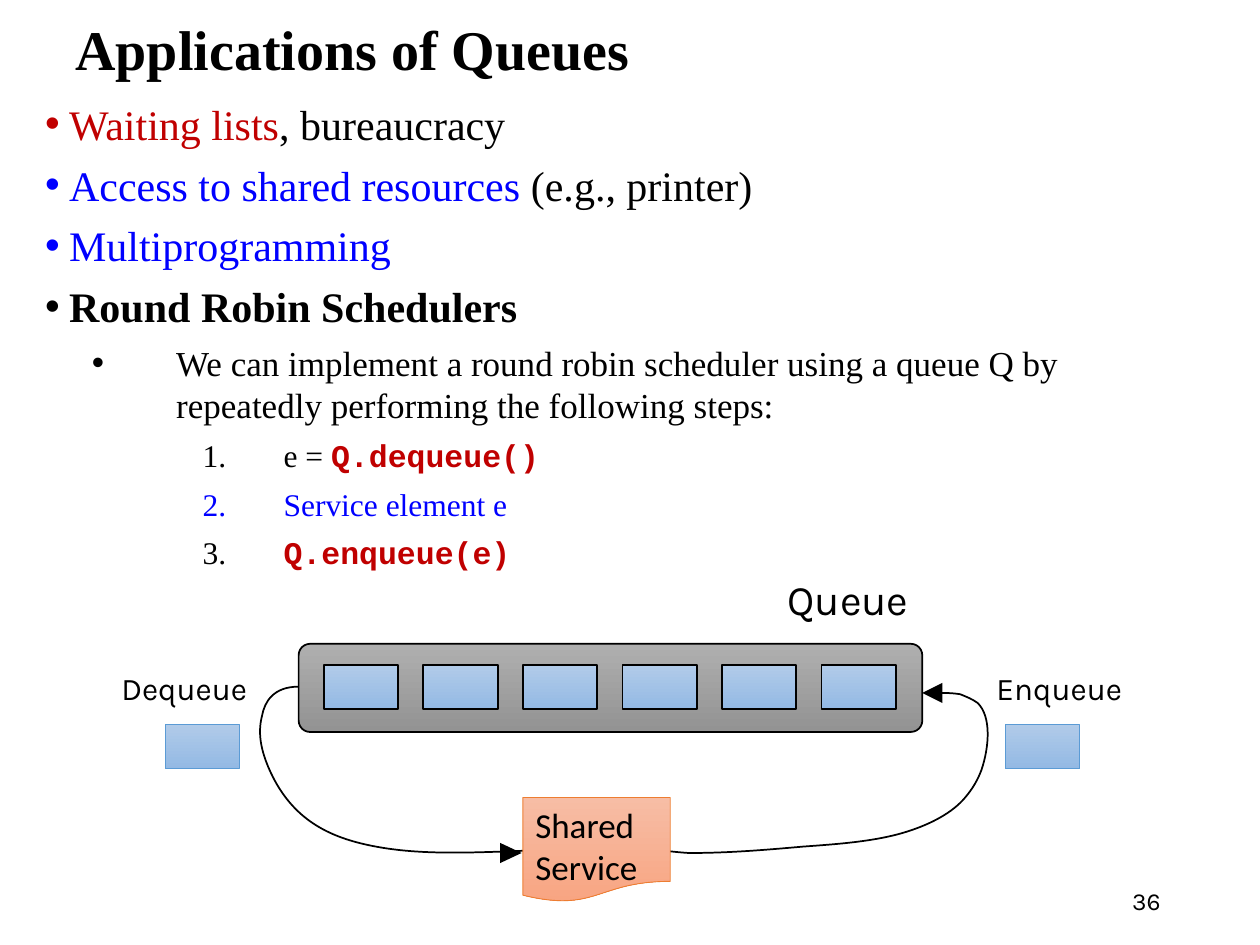
"""Build the slide on applications of queues, with a round robin diagram."""
from lxml.etree import SubElement
from pptx import Presentation
from pptx.dml.color import RGBColor
from pptx.enum.shapes import MSO_SHAPE as Shape
from pptx.enum.text import MSO_ANCHOR as Anchor, PP_ALIGN as Align
from pptx.oxml.ns import qn
from pptx.util import Inches, Pt

BLACK = RGBColor(0, 0, 0)
RED = RGBColor(0xC0, 0, 0)
BLUE = RGBColor(0, 0, 0xFF)
CELL_FILL = RGBColor(0xB1, 0xCB, 0xE9), RGBColor(0x93, 0xB9, 0xE4)
CELL_EDGE = RGBColor(0x5B, 0x9B, 0xD5)
QUEUE_FILL = RGBColor(0xAF, 0xAF, 0xAF), RGBColor(0x93, 0x93, 0x93)
SERVICE_FILL = RGBColor(0xF7, 0xBD, 0xA5), RGBColor(0xF8, 0xA5, 0x82)
SERVICE_EDGE = RGBColor(0xED, 0x7D, 0x31)
SERIF, MONO, LABEL = "Times New Roman", "Courier New", "Karla"


def add_block(kind, box, colors, edge, width):
    block = slide.shapes.add_shape(kind, *map(Inches, box))
    block.shadow.inherit = False
    block.fill.gradient()
    block.fill.gradient_angle = 270
    for stop, color in zip(block.fill.gradient_stops, colors):
        stop.color.rgb = color
    block.line.color.rgb = edge
    block.line.width = Pt(width)
    return block


def add_label(text, box, size, font=LABEL, align=Align.LEFT, anchor=Anchor.TOP):
    label = slide.shapes.add_textbox(*map(Inches, box))
    label.text_frame.word_wrap = True
    label.text_frame.vertical_anchor = anchor
    paragraph = label.text_frame.paragraphs[0]
    paragraph.text = text
    paragraph.alignment = align
    paragraph.font.name = font
    paragraph.font.size = Pt(size)
    paragraph.font.color.rgb = BLACK
    return paragraph


prs = Presentation()
prs.slide_width, prs.slide_height = Inches(10), Inches(7.5)
slide = prs.slides.add_slide(prs.slide_layouts[6])

title = add_label("Applications of Queues", (0.5, 0.08, 8.62, 0.67), 32, SERIF,
                  anchor=Anchor.MIDDLE)
title.font.bold = True
title.line_spacing = 0.9

outline = [
    (0, [("Waiting lists", RED, False), (", bureaucracy", BLACK, False)]),
    (0, [("Access to shared resources ", BLUE, False), ("(e.g., printer)", BLACK, False)]),
    (0, [("Multiprogramming", BLUE, False)]),
    (0, [("Round Robin Schedulers", BLACK, True)]),
    (1, [("We can implement a round robin scheduler using a queue Q by "
          "repeatedly performing the following steps:", BLACK, False)]),
    (3, [(" e = ", BLACK, False), ("Q.dequeue()", RED, True)]),
    (3, [(" Service element e", BLUE, False)]),
    (3, [(" ", BLACK, False), ("Q.enqueue(e)", RED, True)]),
]
level_style = {0: (24, 0.19, -0.19), 1: (20, 1.04, -0.67), 3: (18, 1.83, -0.58)}
body = slide.shapes.add_textbox(Inches(0.26), Inches(0.73), Inches(8.62), Inches(4.76))
body.text_frame.word_wrap = True
for index, (level, pieces) in enumerate(outline):
    item = body.text_frame.paragraphs[0] if index == 0 else body.text_frame.add_paragraph()
    size, margin, indent = level_style[level]
    item.level = level
    item.space_before = Pt(6)
    item.font.size = Pt(size)
    for text, color, bold in pieces:
        run = item.add_run()
        run.text = text
        run.font.name = MONO if text.startswith("Q.") else SERIF
        run.font.color.rgb = color
        run.font.bold = bold
    properties = item._p.get_or_add_pPr()
    properties.set("marL", str(Inches(margin)))
    properties.set("indent", str(Inches(indent)))
    if level == 3:
        SubElement(properties, qn("a:buAutoNum"), type="arabicPeriod")
    else:
        SubElement(properties, qn("a:buFont"), typeface="Arial")
        SubElement(properties, qn("a:buChar"), char="•")
    properties.append(properties.find(qn("a:defRPr")))

queue = add_block(Shape.ROUNDED_RECTANGLE, (2.37, 5.11, 4.95, 0.7), QUEUE_FILL, BLACK, 1)
queue.adjustments[0] = 0.13
for column in range(6):
    add_block(Shape.RECTANGLE, (2.57 + 0.79 * column, 5.28, 0.59, 0.35), CELL_FILL, BLACK, 1)
for left in (1.31, 7.98):
    add_block(Shape.RECTANGLE, (left, 5.75, 0.59, 0.35), CELL_FILL, CELL_EDGE, 0.5)

hundredth = Inches(0.01)
dequeue_route = [
    (237, 545), (217, 545), (210, 557), (208, 568), (204, 583), (208, 597), (213, 609),
    (230, 649), (259, 663), (289, 670), (328, 679), (369, 677), (422, 675),
]
enqueue_route = [
    (525, 675), (544, 677), (546, 677), (548, 677), (576, 677), (603, 675), (637, 672),
    (664, 670), (695, 668), (720, 660), (739, 654), (756, 645), (766, 633),
    (772, 626), (776, 619), (779, 611), (785, 593), (787, 569), (776, 558),
    (772, 555), (767, 553), (762, 551), (756, 550), (751, 550), (743, 550),
]
for route in (dequeue_route, enqueue_route):
    builder = slide.shapes.build_freeform(*route[0], scale=hundredth)
    builder.add_line_segments(route[1:], close=False)
    curve = builder.convert_to_shape()
    curve.shadow.inherit = False
    curve.fill.background()
    curve.line.color.rgb = BLACK
    curve.line.width = Pt(1)
    segments = list(curve._element.iter(qn("a:lnTo")))
    outline_xml = segments[0].getparent()
    for start in range(0, len(segments), 3):
        bezier = SubElement(outline_xml, qn("a:cubicBezTo"))
        for segment in segments[start:start + 3]:
            bezier.append(segment[0])
            outline_xml.remove(segment)

arrowheads = [
    [(397, 685), (414, 677), (397, 669)],
    [(421, 672), (434, 675), (422, 679)],
    [(748, 558), (732, 550), (748, 542)],
]
for corners in arrowheads:
    builder = slide.shapes.build_freeform(*corners[0], scale=hundredth)
    builder.add_line_segments(corners[1:])
    arrowhead = builder.convert_to_shape()
    arrowhead.shadow.inherit = False
    arrowhead.fill.solid()
    arrowhead.fill.fore_color.rgb = BLACK
    arrowhead.line.fill.background()

service = add_block(Shape.FLOWCHART_DOCUMENT, (4.15, 6.33, 1.17, 0.83),
                    SERVICE_FILL, SERVICE_EDGE, 0.5)
service.text_frame.word_wrap = False
service.text_frame.vertical_anchor = Anchor.TOP
service_name = service.text_frame.paragraphs[0]
service_name.text = "Shared \vService"
service_name.alignment = Align.LEFT
service_name.font.name = "Calibri"
service_name.font.size = Pt(20)
service_name.font.color.rgb = BLACK

add_label("Queue", (6.15, 4.5, 1.17, 0.51), 24)
add_label("Enqueue", (7.81, 5.26, 2.08, 0.4), 18)
add_label("Dequeue", (0.23, 5.26, 1.83, 0.4), 18, align=Align.RIGHT)
add_label("36", (7.06, 6.95, 2.25, 0.4), 14, align=Align.RIGHT, anchor=Anchor.MIDDLE)

prs.save("out.pptx")
